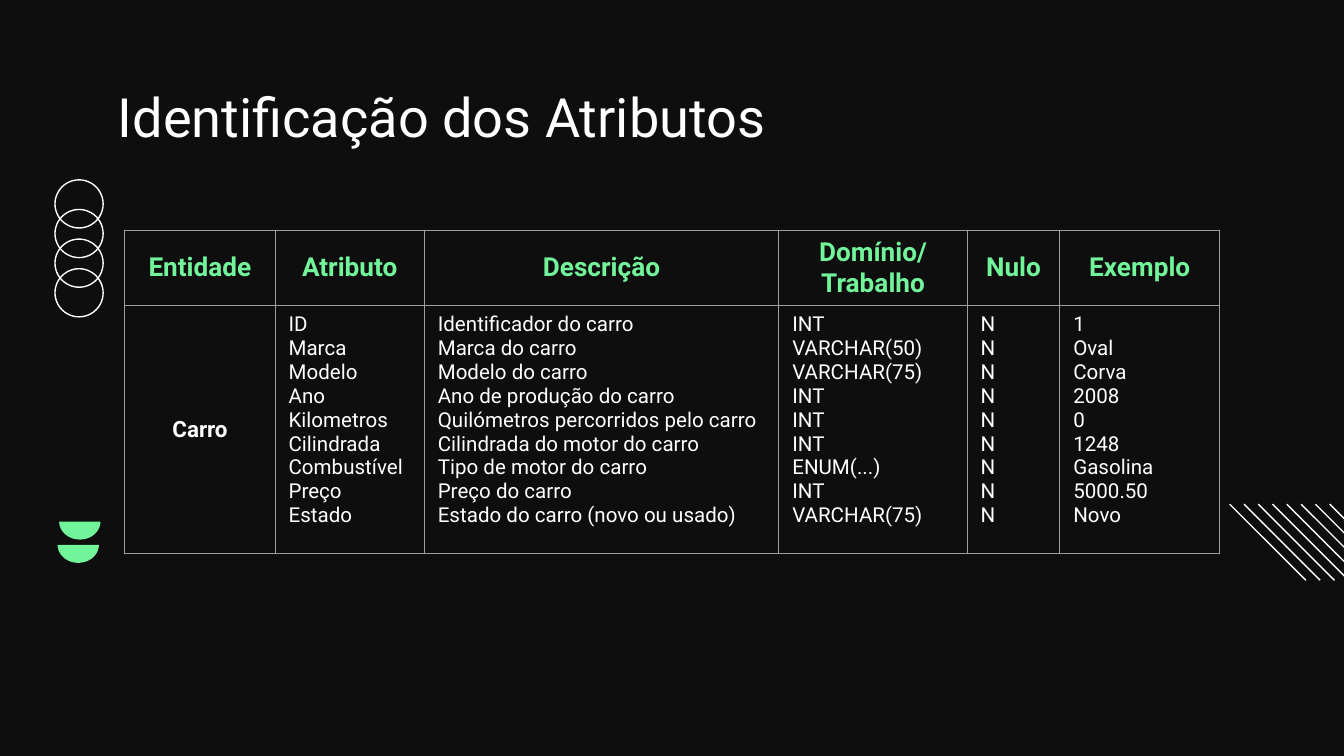
import math

import lxml.etree
import pptx
import pptx.dml.color
import pptx.enum.shapes
import pptx.enum.text
import pptx.oxml.ns
import pptx.util

Cm = pptx.util.Cm
Pt = pptx.util.Pt
qn = pptx.oxml.ns.qn
ALIGN = pptx.enum.text.PP_ALIGN
ANCHOR = pptx.enum.text.MSO_ANCHOR

BLACK = pptx.dml.color.RGBColor(0x0E, 0x0E, 0x0E)
WHITE = pptx.dml.color.RGBColor(0xFF, 0xFF, 0xFF)
GREEN = pptx.dml.color.RGBColor(0x72, 0xF4, 0x9A)
GREY = pptx.dml.color.RGBColor(0x9E, 0x9E, 0x9E)
FONT = "Roboto"

COLUMN_WIDTHS = [2.84, 2.82, 6.7, 3.56, 1.75, 3.02]
ROW_HEIGHTS = [1.42, 4.69]
HEADERS = ["Entidade", "Atributo", "Descrição", "Domínio/\nTrabalho", "Nulo", "Exemplo"]
ENTITY = "Carro"
ATTRIBUTES = [
    ("ID", "Identificador do carro", "INT", "N", "1"),
    ("Marca", "Marca do carro", "VARCHAR(50)", "N", "Oval"),
    ("Modelo", "Modelo do carro", "VARCHAR(75)", "N", "Corva"),
    ("Ano", "Ano de produção do carro", "INT", "N", "2008"),
    ("Kilometros", "Quilómetros percorridos pelo carro", "INT", "N", "0"),
    ("Cilindrada", "Cilindrada do motor do carro", "INT", "N", "1248"),
    ("Combustível", "Tipo de motor do carro", "ENUM(...)", "N", "Gasolina"),
    ("Preço", "Preço do carro", "INT", "N", "5000.50"),
    ("Estado", "Estado do carro (novo ou usado)", "VARCHAR(75)", "N", "Novo"),
]


def write_text(frame, text, size=11, color=WHITE, bold=False, align=ALIGN.LEFT):
    """Fill a text frame with one paragraph for each line of text."""
    frame.word_wrap = True
    for index, line in enumerate(text.split("\n")):
        para = frame.add_paragraph() if index else frame.paragraphs[0]
        para.alignment = align
        span = para.add_run()
        span.text = line
        span.font.name = FONT
        span.font.size = Pt(size)
        span.font.bold = bold
        span.font.color.rgb = color


def draw_title(page, left, top, width, height):
    """Write the slide title."""
    box = page.shapes.add_textbox(Cm(left), Cm(top), Cm(width), Cm(height))
    box.text_frame.margin_top = Cm(0.07)
    write_text(box.text_frame, "Identificação dos Atributos", size=29)


def draw_circles(page, left, top, diameter, step=0.56, count=4):
    """Stack overlapping outlined circles downwards."""
    for index in range(count):
        circle = page.shapes.add_shape(
            pptx.enum.shapes.MSO_SHAPE.OVAL,
            Cm(left), Cm(top + index * step), Cm(diameter), Cm(diameter))
        circle.shadow.inherit = False
        circle.fill.background()
        circle.line.color.rgb = WHITE
        circle.line.width = Pt(0.75)


def draw_bowls(page, left, top, width, height):
    """Draw two solid half discs, the lower one slightly to the left."""
    steps = 40
    for shift, drop in ((0, 0.44), (0.03, 0)):
        points = []
        for index in range(steps + 1):
            angle = math.pi * index / steps
            points.append((
                Cm(left + shift + width / 2 * (1 + math.cos(angle))),
                Cm(top + drop + height * math.sin(angle))))
        builder = page.shapes.build_freeform(*points[0])
        builder.add_line_segments(points[1:], close=True)
        bowl = builder.convert_to_shape()
        bowl.shadow.inherit = False
        bowl.fill.solid()
        bowl.fill.fore_color.rgb = GREEN
        bowl.line.fill.background()


def draw_stripes(page, left, top, size, step=0.27, count=8):
    """Draw parallel diagonal lines running off the right edge."""
    for index in range(count):
        start = left + index * step
        stripe = page.shapes.add_connector(
            pptx.enum.shapes.MSO_CONNECTOR.STRAIGHT,
            Cm(start), Cm(top), Cm(start + size), Cm(top + size))
        stripe.line.color.rgb = WHITE
        stripe.line.width = Pt(0.75)
        properties = stripe.element.find(qn("p:spPr"))
        lxml.etree.SubElement(properties, qn("a:effectLst"))


def style_cell(cell):
    """Give a cell thin grey borders and no fill."""
    properties = cell._tc.get_or_add_tcPr()
    for side in ("L", "R", "T", "B"):
        border = lxml.etree.SubElement(
            properties, qn("a:ln" + side), w=str(int(Pt(0.75))))
        fill = lxml.etree.SubElement(border, qn("a:solidFill"))
        lxml.etree.SubElement(fill, qn("a:srgbClr"), val=str(GREY))
    cell.fill.background()


def draw_attribute_table(page, left, top):
    """Build the table of entity attributes."""
    table = page.shapes.add_table(
        len(ROW_HEIGHTS), len(COLUMN_WIDTHS), Cm(left), Cm(top),
        Cm(sum(COLUMN_WIDTHS)), Cm(sum(ROW_HEIGHTS))).table
    table.first_row = False
    table.horz_banding = False
    for row, height in zip(table.rows, ROW_HEIGHTS):
        row.height = Cm(height)
    bodies = [ENTITY] + ["\n".join(values) for values in zip(*ATTRIBUTES)]
    for index, (width, header, body) in enumerate(zip(COLUMN_WIDTHS, HEADERS, bodies)):
        table.columns[index].width = Cm(width)
        top_cell, body_cell = table.cell(0, index), table.cell(1, index)
        style_cell(top_cell)
        style_cell(body_cell)
        top_cell.vertical_anchor = ANCHOR.MIDDLE
        write_text(top_cell.text_frame, header, size=14, color=GREEN,
                   bold=True, align=ALIGN.CENTER)
        if body == ENTITY:
            body_cell.vertical_anchor = ANCHOR.MIDDLE
            write_text(body_cell.text_frame, body, size=12, bold=True, align=ALIGN.CENTER)
        else:
            write_text(body_cell.text_frame, body)


def main():
    """Build the slide and save the deck."""
    deck = pptx.Presentation()
    deck.slide_width = Cm(25.4)
    deck.slide_height = Cm(14.29)
    page = deck.slides.add_slide(deck.slide_layouts[6])
    page.background.fill.solid()
    page.background.fill.fore_color.rgb = BLACK
    draw_bowls(page, 1.09, 9.86, 0.78, 0.34)
    draw_circles(page, 1.04, 3.4, 0.91)
    draw_stripes(page, 23.24, 9.53, 1.44)
    draw_attribute_table(page, 2.36, 4.35)
    draw_title(page, 1.98, 1.5, 21.44, 1.17)
    deck.save("out.pptx")


if __name__ == "__main__":
    main()
